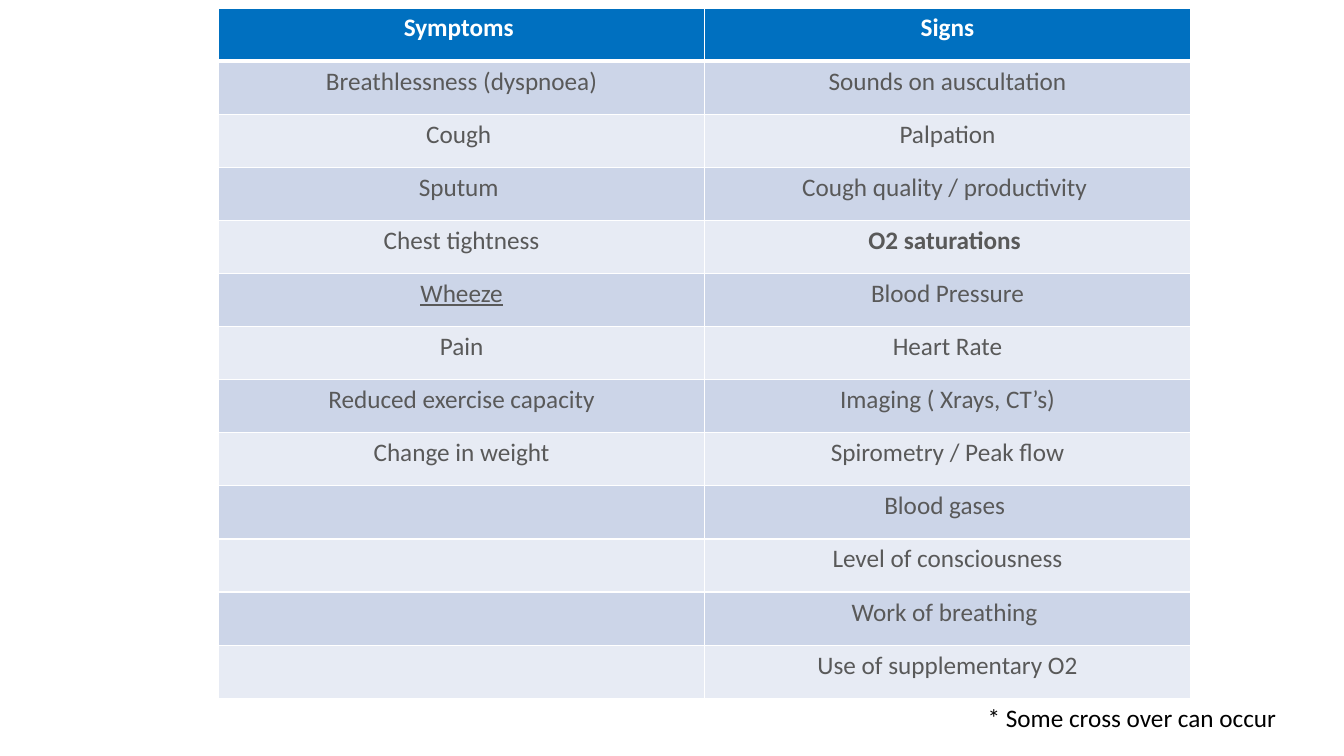
from itertools import zip_longest

from lxml.etree import SubElement
from pptx import Presentation
from pptx.dml.color import RGBColor
from pptx.enum.text import PP_ALIGN
from pptx.oxml.ns import qn
from pptx.util import Cm, Pt

WHITE = RGBColor(0xFF, 0xFF, 0xFF)
BLACK = RGBColor(0, 0, 0)
GREY = RGBColor(0x59, 0x59, 0x59)
HEADER_BLUE = RGBColor(0x00, 0x70, 0xC0)
BAND_DARK = RGBColor(0xCC, 0xD5, 0xE8)
BAND_LIGHT = RGBColor(0xE7, 0xEB, 0xF4)

SYMPTOMS = ["Symptoms ", "Breathlessness (dyspnoea)", "Cough ", "Sputum ",
            "Chest tightness", "Wheeze", "Pain", "Reduced exercise capacity",
            "Change in weight"]
SIGNS = ["Signs", "Sounds on auscultation", "Palpation",
         "Cough quality / productivity ", "O2 saturations ", "Blood Pressure",
         "Heart Rate", "Imaging ( Xrays, CT’s)", "Spirometry / Peak flow",
         "Blood gases ", "Level of consciousness", "Work of breathing ",
         "Use of supplementary O2"]
BOLD = {"O2 saturations "}
UNDERLINED = {"Wheeze"}


def set_font(p, color, bold=False, underline=False):
    """Apply the slide's 18 pt font to a paragraph."""
    p.font.name = "Calibri"
    p.font.size = Pt(18)
    p.font.bold = bold
    p.font.underline = underline
    p.font.color.rgb = color


def set_borders(cell, top, bottom):
    """Draw white lines round a cell, with the given top and bottom widths."""
    tc_pr = cell._tc.get_or_add_tcPr()
    widths = {"a:lnL": 1, "a:lnR": 1, "a:lnT": top, "a:lnB": bottom}
    for tag, width in widths.items():
        ln = SubElement(tc_pr, qn(tag), w=str(Pt(width)))
        fill = SubElement(ln, qn("a:solidFill"))
        SubElement(fill, qn("a:srgbClr"), val=str(WHITE))


def add_findings_table(s, left, top, width, height):
    """Place the banded table of symptoms and signs in the given box."""
    rows = list(zip_longest(SYMPTOMS, SIGNS, fillvalue=""))
    table = s.shapes.add_table(len(rows), 2, left, top, width, height).table
    for i, row in enumerate(rows):
        band = BAND_DARK if i % 2 else BAND_LIGHT
        for j, text in enumerate(row):
            cell = table.cell(i, j)
            set_borders(cell, 3 if i == 1 else 1, 3 if i == 0 else 1)
            cell.fill.solid()
            cell.fill.fore_color.rgb = band if i else HEADER_BLUE
            p = cell.text_frame.paragraphs[0]
            p.text = text
            p.alignment = PP_ALIGN.CENTER
            set_font(p, GREY if i else WHITE, i == 0 or text in BOLD,
                     text in UNDERLINED)


def add_footnote(s, left, top, width, height):
    """Place the footnote in the given box."""
    tf = s.shapes.add_textbox(left, top, width, height).text_frame
    tf.word_wrap = True
    p = tf.paragraphs[0]
    p.text = "* Some cross over can occur"
    set_font(p, BLACK)


def main():
    """Build and save the slide."""
    prs = Presentation()
    prs.slide_width, prs.slide_height = Cm(33.87), Cm(19.05)
    s = prs.slides.add_slide(prs.slide_layouts[6])
    add_findings_table(s, Cm(5.51), Cm(0.2), Cm(24.49), Cm(17.4))
    add_footnote(s, Cm(24.64), Cm(17.58), Cm(9.22), Cm(1.02))
    prs.save("out.pptx")


if __name__ == "__main__":
    main()
